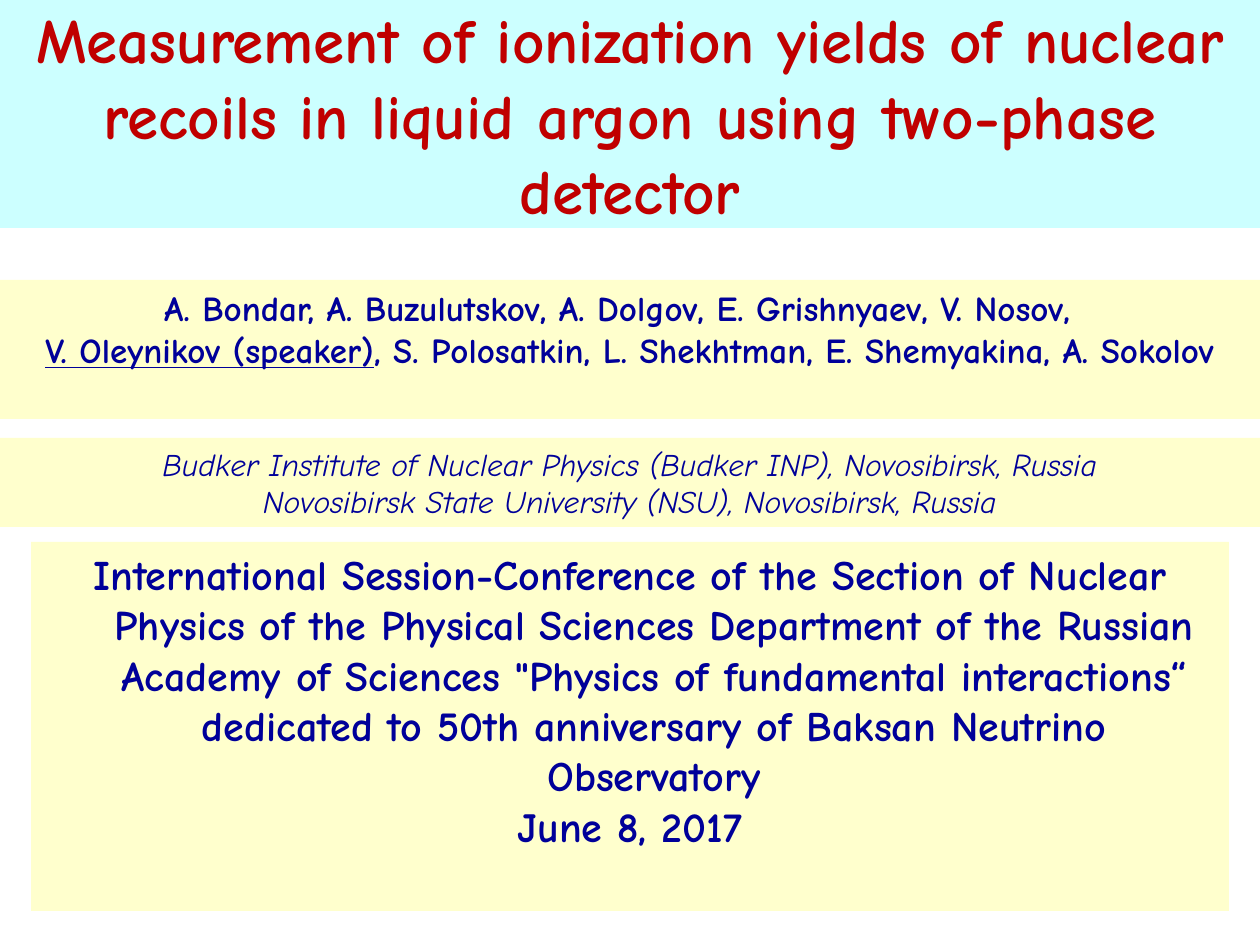
import pptx
import pptx.util
import pptx.dml.color
import pptx.enum.text
import pptx.enum.shapes

RGB = pptx.dml.color.RGBColor
RED = RGB(0xC0, 0x00, 0x00)
NAVY = RGB(0x00, 0x00, 0x99)
CYAN = RGB(0xCC, 0xFF, 0xFF)
CREAM = RGB(0xFF, 0xFF, 0xCD)
FONT = "Comic Neue"
PX = 914400 / 126
TOP = pptx.enum.text.MSO_ANCHOR.TOP
MID = pptx.enum.text.MSO_ANCHOR.MIDDLE
RECT = pptx.enum.shapes.MSO_SHAPE.RECTANGLE


def emu(px):
    return pptx.util.Emu(round(px * PX))


def fill(box, place, back, anchor, size, color, lines, hang=0, bold=True):
    """Place a box and write its lines, each a list of (text, underline)."""
    box.left, box.top, box.width, box.height = map(emu, place)
    box.fill.solid()
    box.fill.fore_color.rgb = back
    box.line.fill.background()
    frame = box.text_frame
    frame.word_wrap = True
    frame.auto_size = pptx.enum.text.MSO_AUTO_SIZE.NONE
    frame.vertical_anchor = anchor
    for i, line in enumerate(lines):
        para = frame.add_paragraph() if i else frame.paragraphs[0]
        para.alignment = pptx.enum.text.PP_ALIGN.CENTER
        para.space_before = pptx.util.Pt(0)
        props = para._p.get_or_add_pPr()
        props.set("marL", str(emu(hang)))
        props.set("indent", str(-emu(hang)))
        for text, under in line:
            run = para.add_run()
            run.text = text
            font = run.font
            font.name = FONT
            font.size = pptx.util.Pt(size)
            font.color.rgb = color
            font.bold = bold
            font.italic = not bold
            font.underline = under


deck = pptx.Presentation()
deck.slide_width = emu(1260)
deck.slide_height = emu(945)
slide = deck.slides.add_slide(deck.slide_layouts[0])

title = slide.shapes.title
fill(title, (0, 0, 1260, 228), CYAN, MID, 36, RED, [
    [("Measurement of ionization yields of nuclear recoils in liquid argon "
      "using two-phase detector", False)],
])

venue = slide.placeholders[1]
fill(venue, (31, 542, 1198, 369), CREAM, TOP, 24, NAVY, [
    [("International Session-Conference of the Section of Nuclear Physics "
      "of the Physical Sciences Department of the Russian Academy of Sciences "
      "\"Physics of fundamental interactions“ dedicated to 50th anniversary "
      "of Baksan Neutrino Observatory", False)],
    [("June 8, 2017", False)],
], hang=48)

names = slide.shapes.add_shape(RECT, 0, 0, 0, 0)
names.shadow.inherit = False
fill(names, (0, 280, 1260, 139), CREAM, TOP, 20, NAVY, [
    [("A. Bondar, A. Buzulutskov, A. Dolgov, E. Grishnyaev, V. Nosov,  ", False)],
    [("V. Oleynikov (speaker)", True),
     (", S. Polosatkin, L. Shekhtman, E. Shemyakina, A. Sokolov", False)],
], hang=63)

homes = slide.shapes.add_shape(RECT, 0, 0, 0, 0)
homes.shadow.inherit = False
fill(homes, (0, 438, 1260, 89), CREAM, MID, 18, NAVY, [
    [("Budker Institute of Nuclear Physics (Budker INP), Novosibirsk, Russia", False)],
    [("Novosibirsk State University (NSU), Novosibirsk, Russia", False)],
], bold=False)

deck.save("out.pptx")
